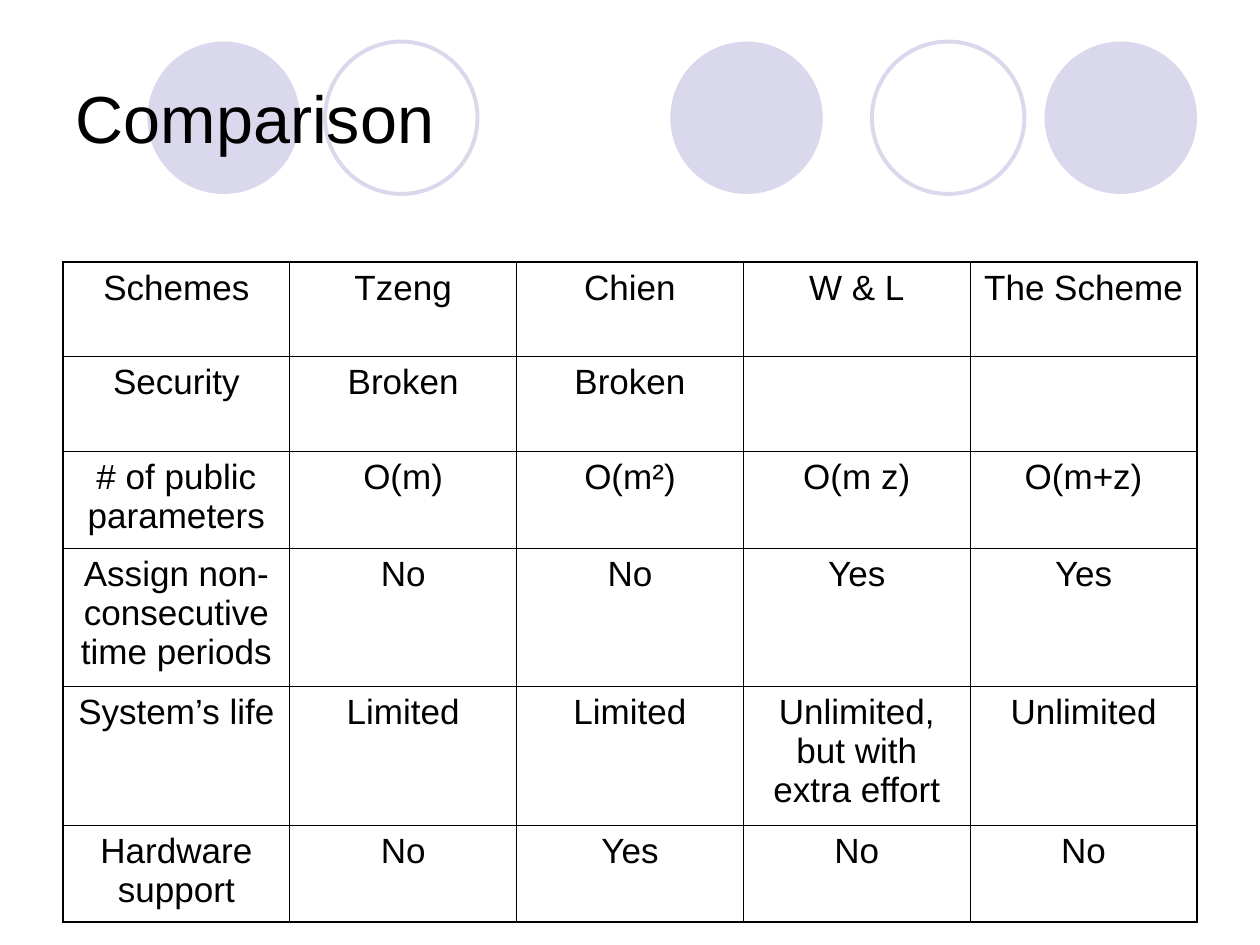
from lxml import etree
from pptx import Presentation
from pptx.dml.color import RGBColor
from pptx.enum.shapes import MSO_SHAPE
from pptx.enum.text import MSO_ANCHOR, MSO_AUTO_SIZE, PP_ALIGN
from pptx.oxml.ns import qn
from pptx.util import Inches, Pt

ELLIPSE = MSO_SHAPE.OVAL
MIDDLE = MSO_ANCHOR.MIDDLE
NO_AUTOFIT = MSO_AUTO_SIZE.NONE
LEFT, CENTER = PP_ALIGN.LEFT, PP_ALIGN.CENTER
LAVENDER, BLACK = "D9D8EC", "000000"
THIN, THICK = 0.45, 1.08


def color(value):
    return RGBColor.from_string(value)


def write(frame, text, size, align, before=0):
    paragraph = frame.paragraphs[0]
    paragraph.alignment = align
    paragraph.space_before = Pt(before)
    font = paragraph.font
    if text:
        run = paragraph.add_run()
        run.text = text
        font = run.font
    font.size = Pt(size)
    font.name = "Arial"
    font.color.rgb = color(BLACK)


deck = Presentation()
deck.slide_width, deck.slide_height = Inches(10), Inches(7.5)
slide = deck.slides.add_slide(deck.slide_layouts[5])
margin = deck.slide_width * 0.05
content_width = deck.slide_width * 0.9

# Row of filled and outlined circles
circles = [(1.17, True), (2.58, False), (5.32, True), (6.92, False), (8.29, True)]
for left, filled in circles:
    circle = slide.shapes.add_shape(
        ELLIPSE, Inches(left), Inches(0.33), Inches(1.21), Inches(1.21))
    circle.shadow.inherit = False
    if filled:
        circle.fill.solid()
        circle.fill.fore_color.rgb = color(LAVENDER)
        circle.line.fill.background()
    else:
        circle.fill.background()
        circle.line.color.rgb = color(LAVENDER)
        circle.line.width = Pt(2.24)

# Title, brought in front of the circles
title = slide.shapes.title
title.left, title.top = int(margin), Inches(0.3)
title.width, title.height = int(content_width), Inches(1.25)
title.text_frame.auto_size = NO_AUTOFIT
title.text_frame.vertical_anchor = MIDDLE
write(title.text_frame, "Comparison", 38, LEFT)
slide.shapes._spTree.append(title._element)

# Comparison table
schemes = [
    ["Schemes", "Tzeng", "Chien", "W & L", "The Scheme"],
    ["Security", "Broken", "Broken", "", ""],
    ["# of public parameters", "O(m)", "O(m²)", "O(m z)", "O(m+z)"],
    ["Assign non-consecutive time periods", "No", "No", "Yes", "Yes"],
    ["System’s life", "Limited", "Limited",
     "Unlimited, but with extra effort", "Unlimited"],
    ["Hardware support", "No", "Yes", "No", "No"],
]
row_heights = [0.75, 0.75, 0.77, 1.1, 1.1, 0.77]
last_row, last_column = len(schemes) - 1, len(schemes[0]) - 1
comparison = slide.shapes.add_table(
    len(schemes), len(schemes[0]), int(margin), Inches(2.08),
    int(content_width), Inches(sum(row_heights))).table
comparison.first_row = comparison.horz_banding = False

for r, row in enumerate(schemes):
    comparison.rows[r].height = Inches(row_heights[r])
    for c, text in enumerate(row):
        cell = comparison.cell(r, c)
        write(cell.text_frame, text, 20, CENTER, before=5)
        # Thick borders around the table, thin ones inside
        outer = {"lnL": c == 0, "lnR": c == last_column,
                 "lnT": r == 0, "lnB": r == last_row}
        properties = cell._tc.get_or_add_tcPr()
        for side, is_outer in outer.items():
            width = Pt(THICK if is_outer else THIN)
            border = etree.SubElement(properties, qn("a:" + side), w=str(width))
            fill = etree.SubElement(border, qn("a:solidFill"))
            etree.SubElement(fill, qn("a:srgbClr"), val=BLACK)
        cell.fill.background()

deck.save("out.pptx")
